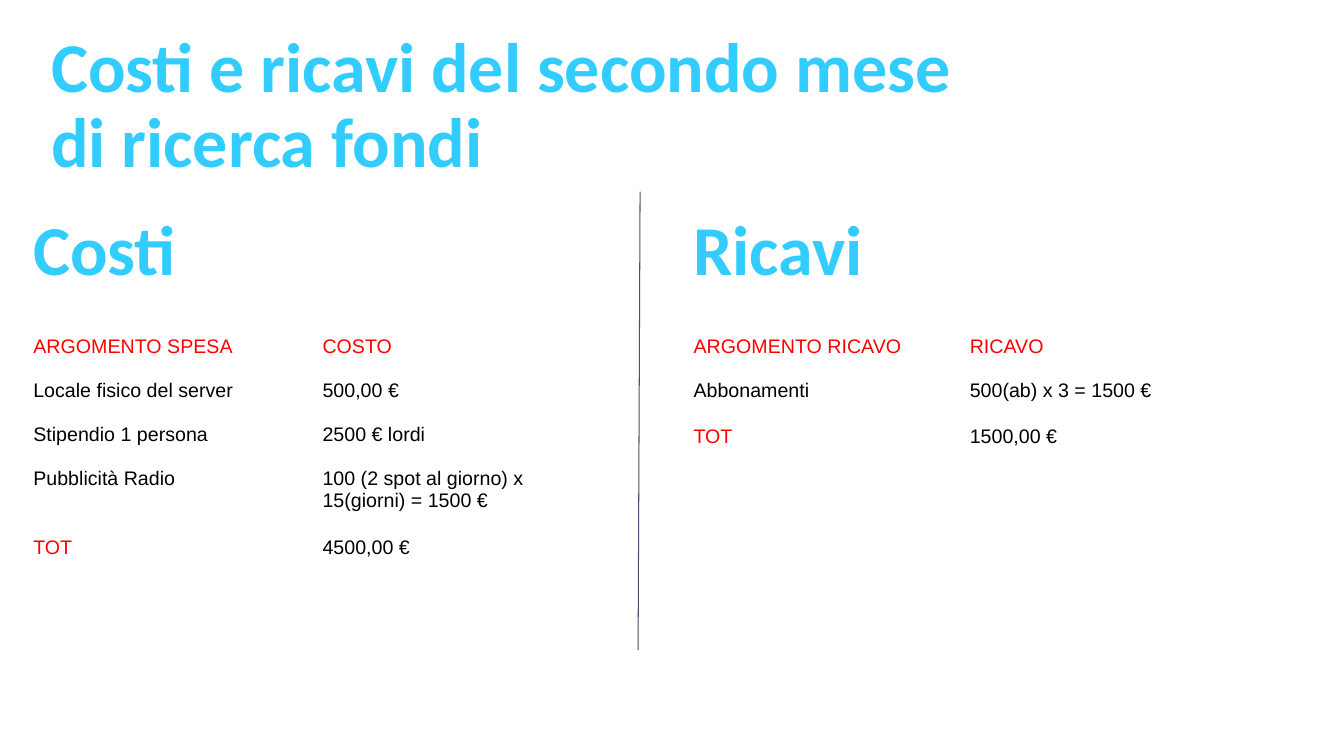
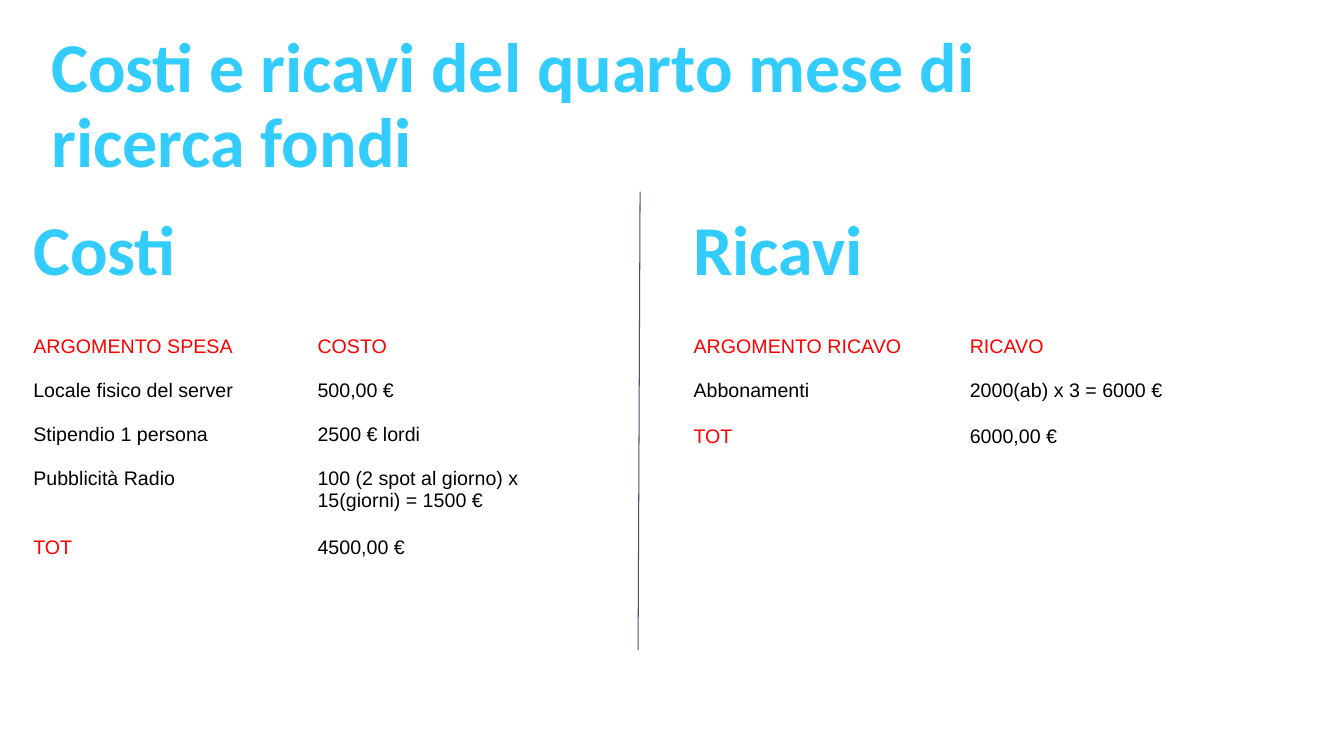
from lxml.etree import SubElement
from pptx import Presentation
from pptx.dml.color import RGBColor
from pptx.enum.shapes import MSO_CONNECTOR
from pptx.enum.text import MSO_ANCHOR
from pptx.oxml.ns import qn
from pptx.util import Pt

COLORS = {"title": "33CCFF", "label": "FF0000", "text": "000000", "divider": "44546A"}
HEADING_TOP, HEADING_HEIGHT = 128.2, 104.4
TABLE_TOP = HEADING_TOP + HEADING_HEIGHT
COSTS_LEFT, REVENUES_LEFT = 16.6, 488.2
ROW_HEIGHT, CELL_MARGIN, ENTRY_GAP = 30, 7.2, 16

COSTS = [
    ("ARGOMENTO SPESA", "COSTO"),
    ("Locale fisico del server", "500,00 €"),
    ("Stipendio 1 persona\nPubblicità Radio",
     "2500 € lordi\n100 (2 spot al giorno) x 15(giorni) = 1500 €"),
    ("TOT", "4500,00 €"),
]


def format_run(r, size, font, color, bold=False):
    r.font.size = Pt(size)
    r.font.name = font
    r.font.bold = bold
    r.font.color.rgb = RGBColor.from_string(COLORS[color])


def add_title(s, text, left, top, width, height):
    tf = s.shapes.add_textbox(Pt(left), Pt(top), Pt(width), Pt(height)).text_frame
    tf.word_wrap = True
    tf.vertical_anchor = MSO_ANCHOR.MIDDLE
    tf.text = text
    p = tf.paragraphs[0]
    p.line_spacing = 0.9
    format_run(p.runs[0], 50, "Calibri", "title", bold=True)


def fill_cell(cell, text):
    """Write one paragraph per entry; entries in capitals are red labels."""
    cell.fill.background()
    cell.margin_left = cell.margin_right = Pt(CELL_MARGIN)
    cell.margin_top = cell.margin_bottom = Pt(CELL_MARGIN)
    tf = cell.text_frame
    tf.text = text
    for i, p in enumerate(tf.paragraphs):
        p.space_before = Pt(ENTRY_GAP if i else 0)
        for r in p.runs:
            format_run(r, 14, "Arial", "label" if r.text.isupper() else "text")


def add_budget_table(s, rows, left, widths):
    frame = s.shapes.add_table(len(rows), len(widths), Pt(left), Pt(TABLE_TOP),
                               Pt(sum(widths)), Pt(ROW_HEIGHT * len(rows)))
    table = frame.table
    table.first_row = table.horz_banding = False
    for column, width in zip(table.columns, widths):
        column.width = Pt(width)
    for i, row in enumerate(rows):
        for j, text in enumerate(row):
            fill_cell(table.cell(i, j), text)


def add_divider(s):
    line = s.shapes.add_connector(MSO_CONNECTOR.STRAIGHT,
                                  Pt(457.2), Pt(136.8), Pt(455.8), Pt(464.4))
    line.line.color.rgb = RGBColor.from_string(COLORS["divider"])
    line.line.width = Pt(0.75)
    SubElement(line._element.spPr, qn("a:effectLst"))


def add_month_slide(prs, month, cost_widths, subscriptions, total):
    s = prs.slides.add_slide(prs.slide_layouts[6])
    revenues = [
        ("ARGOMENTO RICAVO\nAbbonamenti", f"RICAVO\n{subscriptions}"),
        ("TOT", total),
    ]
    add_title(s, "Costi", COSTS_LEFT, HEADING_TOP, 164.2, HEADING_HEIGHT)
    add_budget_table(s, COSTS, COSTS_LEFT, cost_widths)
    add_title(s, "Ricavi", REVENUES_LEFT, HEADING_TOP, 195.8, HEADING_HEIGHT)
    add_budget_table(s, revenues, REVENUES_LEFT, (197.3, 211))
    add_divider(s)
    add_title(s, f"Costi e ricavi del {month} mese di ricerca fondi", 29.5, 0, 696.2, 153.4)


def main():
    prs = Presentation()
    prs.slide_width, prs.slide_height = Pt(960), Pt(540)
    add_month_slide(prs, "secondo", (206.6, 221), "500(ab) x 3 = 1500 €", "1500,00 €")
    add_month_slide(prs, "quarto", (203, 217.4), "2000(ab) x 3 = 6000 €", "6000,00 €")
    prs.save("out.pptx")


if __name__ == "__main__":
    main()
